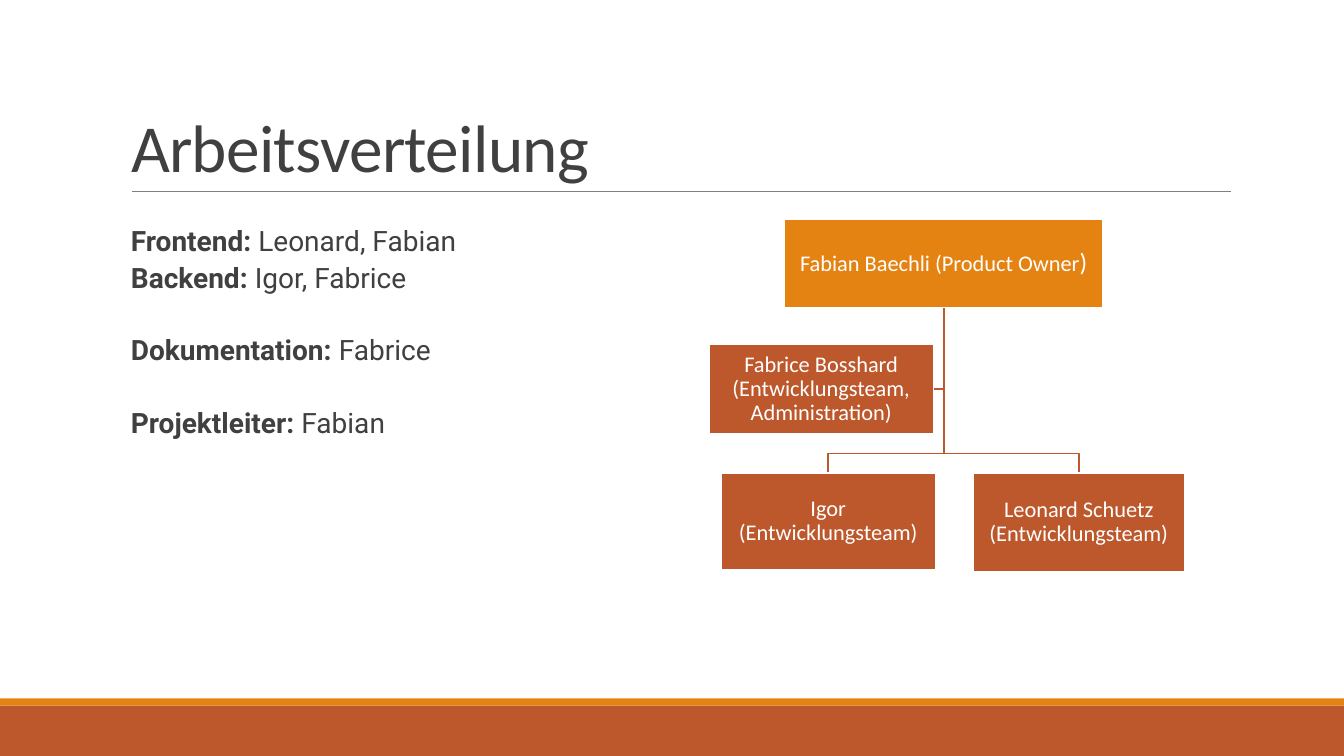
import pptx
import pptx.dml.color
import pptx.enum.shapes
import pptx.enum.text
import pptx.util

Inches, Pt = pptx.util.Inches, pptx.util.Pt
ALIGN, ANCHOR = pptx.enum.text.PP_ALIGN, pptx.enum.text.MSO_ANCHOR
SHAPE = pptx.enum.shapes.MSO_SHAPE
WIDTH, HEIGHT = 13.33, 7.5
ORANGE, RUST, GREY, DARK, WHITE = "E48312", "BD582C", "808080", "404040", "FFFFFF"


def color(value):
    return pptx.dml.color.RGBColor.from_string(value)


def set_line(sp, value, width):
    sp.line.color.rgb = color(value)
    sp.line.width = Pt(width)


def set_font(font, size, value, name="Calibri"):
    font.size = Pt(size)
    font.color.rgb = color(value)
    font.name = name


def set_frame(tf, anchor, side, end):
    tf.word_wrap = True
    tf.auto_size = pptx.enum.text.MSO_AUTO_SIZE.NONE
    tf.vertical_anchor = anchor
    tf.margin_left = tf.margin_right = Inches(side)
    tf.margin_top = tf.margin_bottom = Inches(end)


def add_rect(s, box, fill):
    sp = s.shapes.add_shape(SHAPE.RECTANGLE, *map(Inches, box))
    sp.shadow.inherit = False
    sp.fill.solid()
    sp.fill.fore_color.rgb = color(fill)
    sp.line.fill.background()
    return sp


def add_footer(s, box):
    """Wide band with a thin stripe on top of it."""
    x, y, w, h = box
    stripe = 0.07
    add_rect(s, (x, y + stripe, w, h - stripe), RUST)
    add_rect(s, (x, y, w, stripe), ORANGE)


def add_title(s, box, text):
    """Title with a rule along its lower edge."""
    x, y, w, h = box
    rule = s.shapes.add_connector(
        pptx.enum.shapes.MSO_CONNECTOR.STRAIGHT,
        *map(Inches, (x + 0.11, y + h, x + w + 0.01, y + h)))
    set_line(rule, GREY, 0.5)
    pptx.oxml.ns  # namespace helpers come with the package
    rule._element.spPr.append(pptx.oxml.parse_xml(
        "<a:effectLst %s/>" % pptx.oxml.ns.nsdecls("a")))

    title = s.shapes.title
    title.left, title.top, title.width, title.height = map(Inches, box)
    set_frame(title.text_frame, ANCHOR.BOTTOM, 0.1, 0.05)
    p = title.text_frame.paragraphs[0]
    p.alignment = ALIGN.LEFT
    p.line_spacing = 0.85
    r = p.add_run()
    r.text = text
    set_font(p.font, 48, DARK)
    r._r.get_or_add_rPr().set("spc", "-50")


def add_roles(s, box, roles):
    """List of (role, people, space after in points)."""
    tf = s.shapes.add_textbox(*map(Inches, box)).text_frame
    set_frame(tf, ANCHOR.TOP, 0.1, 0.05)
    for i, (role, people, gap) in enumerate(roles):
        p = tf.paragraphs[0] if i == 0 else tf.add_paragraph()
        p.space_after = Pt(gap)
        set_font(p.font, 20, DARK, "Roboto")
        for text, bold in ((role + ": ", True), (people, False)):
            r = p.add_run()
            r.text = text
            r.font.bold = bold


def add_path(s, points):
    (x, y), *rest = [(Inches(px), Inches(py)) for px, py in points]
    builder = s.shapes.build_freeform(x, y)
    builder.add_line_segments(rest, close=False)
    sp = builder.convert_to_shape()
    sp.shadow.inherit = False
    sp.fill.background()
    set_line(sp, RUST, 1.25)


def add_person(s, box, fill, runs):
    sp = add_rect(s, box, fill)
    set_line(sp, WHITE, 1.25)
    set_frame(sp.text_frame, ANCHOR.MIDDLE, 0.01, 0.01)
    p = sp.text_frame.paragraphs[0]
    p.alignment = ALIGN.CENTER
    p.line_spacing = 0.9
    set_font(p.font, 16, WHITE)
    for text, size in runs:
        r = p.add_run()
        r.text = text
        r.font.size = Pt(size)


def add_org_chart(s, box):
    """Owner on top, an assistant beside the trunk, the team below."""
    x, y, w, h = box
    owner = (x + 0.75, y, 3.16, 0.88)
    assistant = (x, y + 1.24, 2.23, 0.9)
    igor = (x + 0.12, y + 2.52, 2.13, 0.96)
    leonard = (x + w - 2.1, y + 2.52, 2.1, h - 2.52)

    # Connectors run from the middle of the owner's lower edge
    trunk, top = owner[0] + owner[2] / 2, owner[1] + owner[3]
    side = assistant[1] + assistant[3] / 2
    add_path(s, [(trunk, top), (trunk, side), (assistant[0] + assistant[2], side)])
    for member in (leonard, igor):
        middle, bend = member[0] + member[2] / 2, member[1] - 0.19
        add_path(s, [(trunk, top), (trunk, bend), (middle, bend), (middle, member[1])])

    add_person(s, owner, ORANGE, [("Fabian Baechli (Product Owner", 16), (")", 18)])
    for place, text in (
            (igor, "Igor (Entwicklungsteam)"),
            (leonard, "Leonard Schuetz (Entwicklungsteam)"),
            (assistant, "Fabrice Bosshard (Entwicklungsteam, Administration)")):
        add_person(s, place, RUST, [(text, 16)])


def main():
    prs = pptx.Presentation()
    prs.slide_width, prs.slide_height = Inches(WIDTH), Inches(HEIGHT)
    s = prs.slides.add_slide(prs.slide_layouts[5])
    add_footer(s, (0, 6.93, WIDTH, HEIGHT - 6.93))
    add_title(s, (1.2, 0.31, 11, 1.59), "Arbeitsverteilung")
    add_roles(s, (1.2, 2.17, 5.5, 4.4), [
        ("Frontend", "Leonard, Fabian", 2),
        ("Backend", "Igor, Fabrice", 28),
        ("Dokumentation", "Fabrice", 28),
        ("Projektleiter", "Fabian", 2),
    ])
    add_org_chart(s, (7.03, 2.17, 4.72, 3.5))
    prs.save("out.pptx")


if __name__ == "__main__":
    main()
